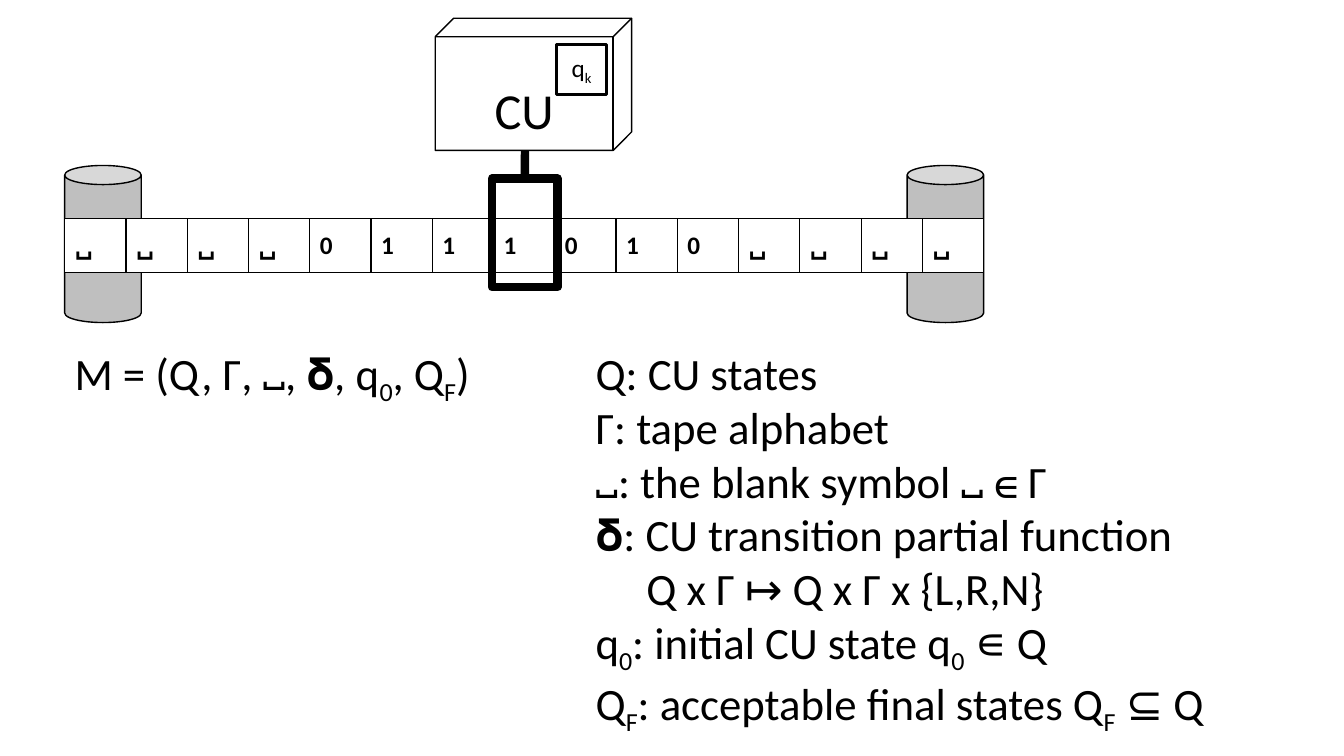
from lxml import etree
from pptx import Presentation
from pptx.dml.color import RGBColor
from pptx.enum.shapes import MSO_CONNECTOR, MSO_SHAPE
from pptx.enum.text import MSO_ANCHOR, MSO_AUTO_SIZE, PP_ALIGN
from pptx.oxml.ns import qn
from pptx.util import Cm, Pt

CAN, CUBE, RECT = MSO_SHAPE.CAN, MSO_SHAPE.CUBE, MSO_SHAPE.RECTANGLE
STRAIGHT = MSO_CONNECTOR.STRAIGHT
MIDDLE = MSO_ANCHOR.MIDDLE
CENTER, LEFT = PP_ALIGN.CENTER, PP_ALIGN.LEFT
GROW = MSO_AUTO_SIZE.SHAPE_TO_FIT_TEXT

COLORS = {"ink": "000000", "paper": "FFFFFF", "reel": "BFBFBF"}
FONT = "Calibri"
TAPE = "␣␣␣␣0111010␣␣␣␣"
MACHINE = ["M = (Q, Γ, ␣, 𝛅, q_0, Q_F)"]
LEGEND = [
    "Q: CU states",
    "Γ: tape alphabet",
    "␣: the blank symbol ␣ ∊ Γ",
    "𝛅: CU transition partial function",
    "Q x Γ ↦ Q x Γ x {L,R,N}",
    "q_0: initial CU state q_0 ∊ Q",
    "Q_F: acceptable final states Q_F ⊆ Q",
]
SIGNATURE_LINE = 4


def rgb(name):
    """Return the named colour."""
    return RGBColor.from_string(COLORS[name])


def add_run(p, text, size, bold=False, subscript=False):
    """Append one formatted run to a paragraph."""
    r = p.add_run()
    r.text = text
    r.font.name, r.font.size, r.font.bold = FONT, Pt(size), bold
    r.font.color.rgb = rgb("ink")
    if subscript:
        r._r.get_or_add_rPr().set("baseline", "-25000")


def write(p, text, size, align=LEFT, bold=False):
    """Fill a paragraph, lowering each character that follows an underscore."""
    p.alignment = align
    head, *tails = text.split("_")
    add_run(p, head, size, bold)
    for tail in tails:
        add_run(p, tail[0], size, bold, subscript=True)
        if tail[1:]:
            add_run(p, tail[1:], size, bold)


def add_box(slide, kind, x, y, w, h, line=1, fill=None, text="", size=18):
    """Add an outlined preset shape with optional centred text."""
    sp = slide.shapes.add_shape(kind, Cm(x), Cm(y), Cm(w), Cm(h))
    sp.shadow.inherit = False
    if fill:
        sp.fill.solid()
        sp.fill.fore_color.rgb = rgb(fill)
    else:
        sp.fill.background()
    sp.line.color.rgb, sp.line.width = rgb("ink"), Pt(line)
    if text:
        sp.text_frame.vertical_anchor = MIDDLE
        write(sp.text_frame.paragraphs[0], text, size, CENTER)
    return sp


def add_text(slide, x, y, w, h, lines):
    """Add a text box with one paragraph per line and return its text frame."""
    tf = slide.shapes.add_textbox(Cm(x), Cm(y), Cm(w), Cm(h)).text_frame
    tf.word_wrap, tf.auto_size = True, GROW
    for i, line in enumerate(lines):
        write(tf.add_paragraph() if i else tf.paragraphs[0], line, 32)
    return tf


def add_borders(cell):
    """Draw a thin line on every side of a table cell."""
    tc_pr = cell._tc.get_or_add_tcPr()
    for side in ("a:lnL", "a:lnR", "a:lnT", "a:lnB"):
        ln = etree.SubElement(tc_pr, qn(side), w=str(Pt(1)))
        fill = etree.SubElement(ln, qn("a:solidFill"))
        etree.SubElement(fill, qn("a:srgbClr"), val=COLORS["ink"])


def add_tape(slide, x, y, w, h, symbols):
    """Add the tape as a one-row table."""
    table = slide.shapes.add_table(1, len(symbols), Cm(x), Cm(y), Cm(w), Cm(h)).table
    table.first_row = table.horz_banding = False
    for cell, symbol in zip(table.rows[0].cells, symbols):
        add_borders(cell)
        cell.fill.solid()
        cell.fill.fore_color.rgb = rgb("paper")
        cell.vertical_anchor = MIDDLE
        write(cell.text_frame.paragraphs[0], symbol, 18, bold=True)


def add_arm(slide, x, y, head):
    """Connect the control unit to the top of the tape head."""
    arm = slide.shapes.add_connector(STRAIGHT, Cm(x), Cm(y), Cm(x), head.top)
    arm.end_connect(head, 0)
    arm.line.color.rgb, arm.line.width = rgb("ink"), Pt(6)
    etree.SubElement(arm._element.spPr, qn("a:effectLst"))


def main():
    """Build the Turing machine slide."""
    prs = Presentation()
    prs.slide_width, prs.slide_height = Cm(33.87), Cm(19.05)
    slide = prs.slides.add_slide(prs.slide_layouts[6])

    for reel_x in (1.63, 22.86):
        add_box(slide, CAN, reel_x, 4.17, 1.93, 3.96, fill="reel")
    add_tape(slide, 1.63, 5.51, 23.16, 1.35, TAPE)

    unit = add_box(slide, CUBE, 10.97, 0.46, 4.95, 3.33, text="CU", size=36)
    unit.adjustments[0] = 0.14
    unit.text_frame.margin_top = Cm(0.9)
    head = add_box(slide, RECT, 12.4, 4.5, 1.65, 2.74, line=6)
    add_arm(slide, 13.23, 3.81, head)
    add_box(slide, RECT, 14.02, 1.12, 1.27, 1.27, line=2.25, text="q_k")

    add_text(slide, 1.63, 8.59, 11.61, 1.63, MACHINE)
    legend = add_text(slide, 14.76, 8.59, 18.57, 9.83, LEGEND)
    signature = legend.paragraphs[SIGNATURE_LINE]
    signature._p.get_or_add_pPr().set("marL", str(Cm(1.28)))

    prs.save("out.pptx")


if __name__ == "__main__":
    main()
